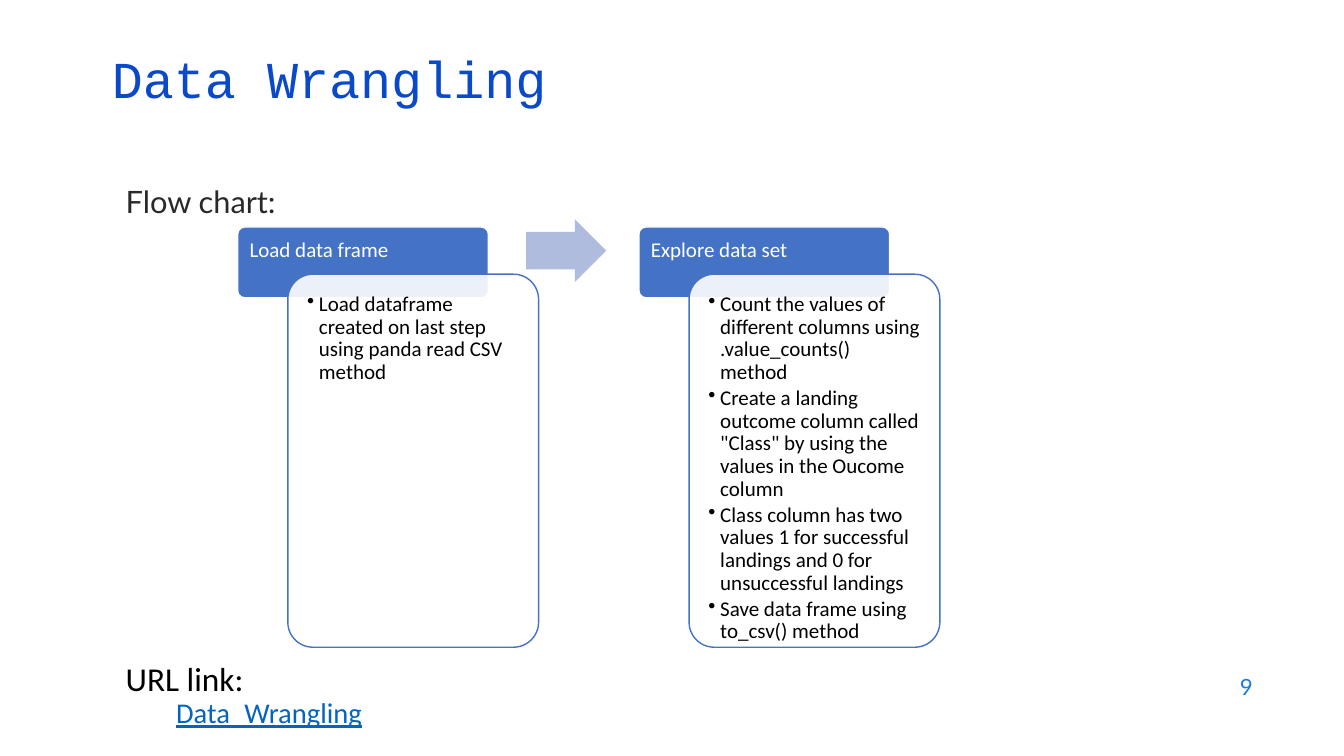
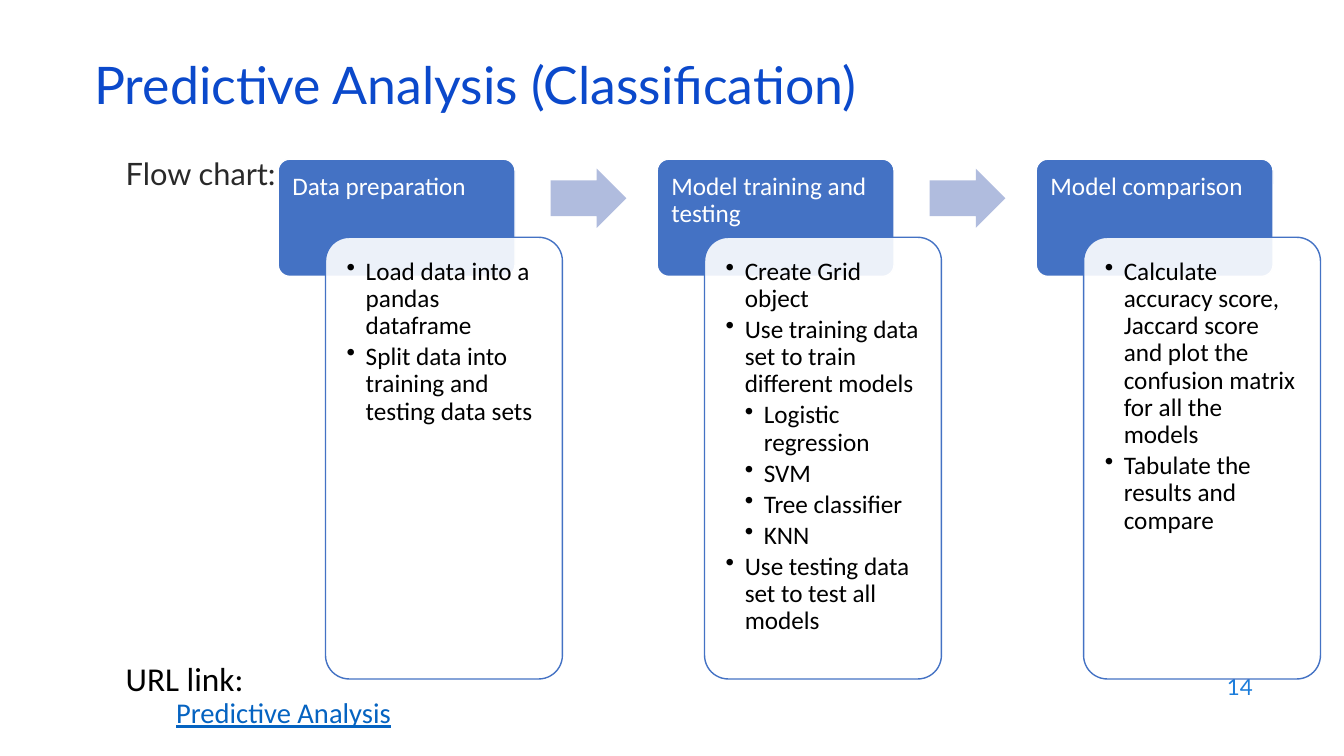
from lxml import etree
from pptx import Presentation
from pptx.dml.color import RGBColor
from pptx.enum.shapes import MSO_SHAPE
from pptx.enum.text import MSO_ANCHOR, PP_ALIGN
from pptx.oxml.ns import qn
from pptx.util import Cm, Pt

ROUND, ARROW = MSO_SHAPE.ROUNDED_RECTANGLE, MSO_SHAPE.RIGHT_ARROW
TOP, MIDDLE = MSO_ANCHOR.TOP, MSO_ANCHOR.MIDDLE
LEFT, RIGHT = PP_ALIGN.LEFT, PP_ALIGN.RIGHT

# Content: flow steps are (heading, [(level, text), ...])
SLIDES = [
    {
        "title": "Data Wrangling", "title_style": "title_mono",
        "title_at": (2.57, 1.35), "label_top": 4.47,
        "number": "9", "link": "Data_Wrangling",
        "flow": {"left": 5.99, "top": 5.72, "width": 6.32, "lead": 1.19,
                 "list_height": 9.4, "pad": 0.3, "indent": 0.3, "size": 15},
        "steps": [
            ("Load data frame", [
                (1, "Load dataframe created on last step using panda read CSV method"),
            ]),
            ("Explore data set", [
                (1, "Count the values of different columns using .value_counts() method"),
                (1, 'Create a landing outcome column called "Class" by using the '
                    "values in the Oucome column"),
                (1, "Class column has two values 1 for successful landings and 0 "
                    "for unsuccessful landings"),
                (1, "Save data frame using to_csv() method"),
            ]),
        ],
    },
    {
        "title": "Predictive Analysis (Classification)", "title_style": "title",
        "title_at": (2.13, 1.5), "label_top": 3.78,
        "number": "14", "link": "Predictive Analysis",
        "flow": {"left": 7.01, "top": 4.01, "width": 5.97, "lead": 1.97,
                 "list_height": 11.13, "pad": 0.36, "indent": 0.48, "size": 18},
        "steps": [
            ("Data preparation", [
                (1, "Load data into a pandas dataframe"),
                (1, "Split data into training and testing data sets"),
            ]),
            ("Model training and testing", [
                (1, "Create Grid object"),
                (1, "Use training data set to train different models"),
                (2, "Logistic regression"),
                (2, "SVM"),
                (2, "Tree classifier"),
                (2, "KNN"),
                (1, "Use testing data set to test all models"),
            ]),
            ("Model comparison", [
                (1, "Calculate accuracy score, Jaccard score and plot the "
                    "confusion matrix for all the models"),
                (1, "Tabulate the results and compare"),
            ]),
        ],
    },
]


# Theme
class Theme:
    blue, pale, white = "4472C4", "B0BCDE", "FFFFFF"
    text = {
        "title": {"name": "Lato", "size": 37, "color": "0B49CB"},
        "title_mono": {"name": "Courier New", "size": 37, "color": "0B49CB"},
        "label": {"name": "Lato", "size": 22, "color": "292929"},
        "number": {"name": "Lato", "size": 16, "color": "1C7DDB"},
        "url": {"name": "Calibri", "size": 23.8, "color": "000000"},
        "link": {"name": "Calibri", "size": 20.4, "color": "0563C1", "underline": True},
        "heading": {"name": "Calibri", "color": "FFFFFF"},
        "item": {"name": "Calibri", "color": "000000"},
    }


CORNER = 0.1
CORNER_INSET = CORNER * 0.29  # share of the short side that a round corner takes from the text


# Helpers
def set_frame(tf, anchor=TOP, margins=(0.25, 0.13, 0.25, 0.13)):
    tf.word_wrap = True
    tf.vertical_anchor = anchor
    for side, value in zip(("left", "top", "right", "bottom"), margins):
        setattr(tf, f"margin_{side}", Cm(value))


def write(p, text, style, size=None, bullet_at=None, **formats):
    """Fill a paragraph; bullet_at is (left margin, hanging indent) in cm."""
    if bullet_at:
        pPr = p._p.get_or_add_pPr()
        pPr.set("marL", str(Cm(bullet_at[0])))
        pPr.set("indent", str(-Cm(bullet_at[1])))
        etree.SubElement(pPr, qn("a:buChar")).set("char", "•")
    for name, value in {"alignment": LEFT, **formats}.items():
        setattr(p, name, value)
    r = p.add_run()
    r.text = text
    for name, value in {"size": size, **Theme.text[style]}.items():
        if name == "color":
            r.font.color.rgb = RGBColor.from_string(value)
        else:
            setattr(r.font, name, Pt(value) if name == "size" else value)


def add_text(s, box, text, style, anchor=TOP, **formats):
    tf = s.shapes.add_textbox(*map(Cm, box)).text_frame
    set_frame(tf, anchor)
    write(tf.paragraphs[0], text, style, **formats)
    return tf


def add_block(s, kind, box, fill, line=None, adjust=(CORNER,), opacity=None):
    sp = s.shapes.add_shape(kind, *map(Cm, box))
    sp.shadow.inherit = False
    for i, value in enumerate(adjust):
        sp.adjustments[i] = value
    sp.fill.solid()
    sp.fill.fore_color.rgb = RGBColor.from_string(fill)
    if opacity:
        color = sp.fill._xPr.find(qn("a:solidFill"))[0]
        etree.SubElement(color, qn("a:alpha")).set("val", str(opacity * 1000))
    if line:
        sp.line.color.rgb = RGBColor.from_string(line)
        sp.line.width = Pt(1)
    else:
        sp.line.fill.background()
    return sp


# Flow chart: every step is a heading block overlapped by a list card
def add_flow(s, steps, left, top, width, lead, list_height, pad, indent, size):
    head_height = 1.5 * lead
    head_pad = pad - CORNER_INSET * head_height
    arrow_width, arrow_height = 0.32 * width, 0.25 * width
    for i, (heading, items) in enumerate(steps):
        x = left + i * 1.6 * width
        if i:
            add_block(s, ARROW, (x - 0.45 * width, top + (lead - arrow_height) / 2,
                                 arrow_width, arrow_height),
                      Theme.pale, adjust=(0.6, 0.5))

        head = add_block(s, ROUND, (x, top, width, head_height), Theme.blue, Theme.white)
        set_frame(head.text_frame, margins=(head_pad,) * 4)
        write(head.text_frame.paragraphs[0], heading, "heading", size, line_spacing=0.9)

        card = add_block(s, ROUND, (x + 0.2 * width, top + lead, width, list_height),
                         Theme.white, Theme.blue, opacity=90)
        tf = card.text_frame
        set_frame(tf, margins=(pad,) * 4)
        for j, (level, text) in enumerate(items):
            p = tf.add_paragraph() if j else tf.paragraphs[0]
            write(p, text, "item", size, (level * indent, indent), level=level,
                  line_spacing=0.9, space_after=Pt(0.15 * size))


# Slides
def build_slide(prs, data):
    s = prs.slides.add_slide(prs.slide_layouts[6])
    add_text(s, (24.2, 16.74, 7.62, 1.12), data["number"], "number", MIDDLE,
             alignment=RIGHT)
    add_text(s, (*data["title_at"], 29.21, 1.52), data["title"], data["title_style"],
             MIDDLE, line_spacing=0.8)
    add_flow(s, data["steps"], **data["flow"])
    add_text(s, (2.92, data["label_top"], 10.92, 1.57), "Flow chart:", "label")
    tf = add_text(s, (2.92, 16.74, 13, 1.78), "URL link:", "url", line_spacing=0.7)
    p = tf.add_paragraph()
    p._p.get_or_add_pPr().set("marL", str(Cm(1.27)))
    write(p, data["link"], "link", level=1, line_spacing=0.7, space_before=Pt(5))


def main():
    prs = Presentation()
    prs.slide_width, prs.slide_height = Cm(33.87), Cm(19.05)
    for data in SLIDES:
        build_slide(prs, data)
    prs.save("out.pptx")


if __name__ == "__main__":
    main()
